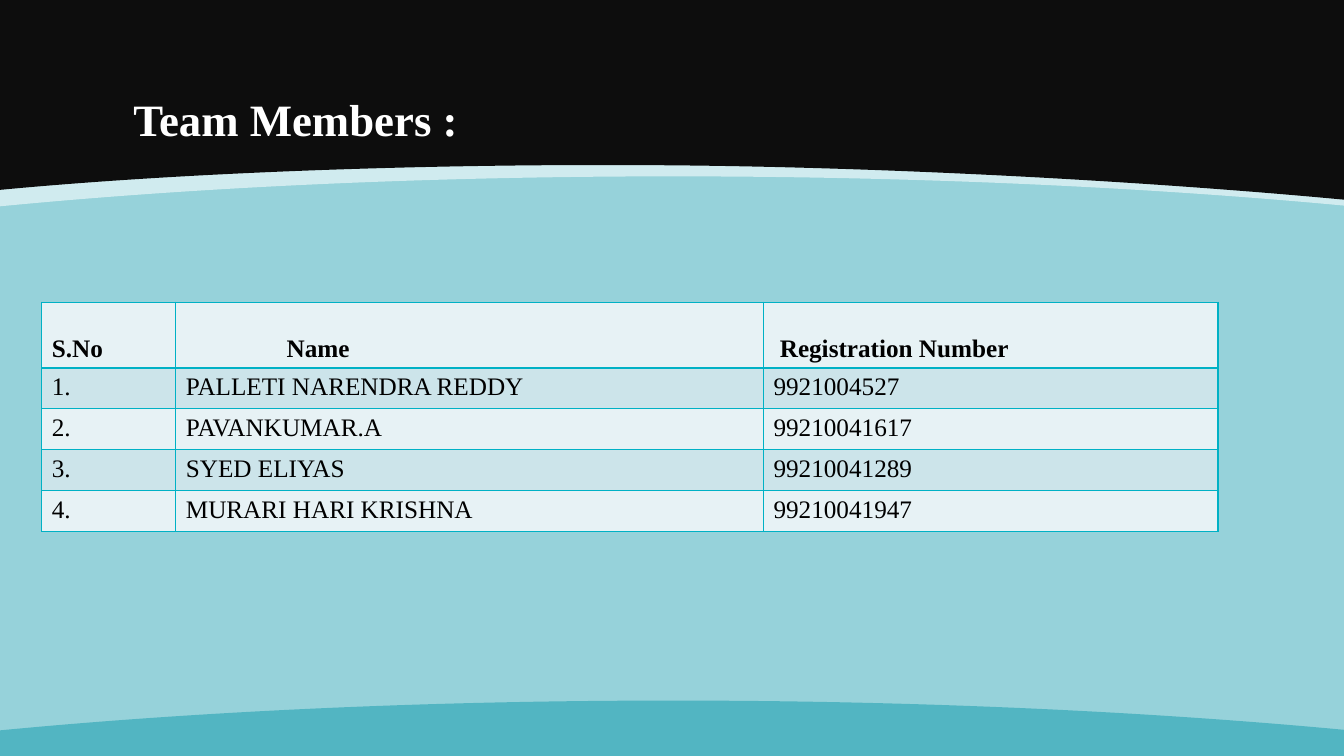
from pptx import Presentation
from pptx.dml.color import RGBColor
from pptx.enum.text import MSO_ANCHOR as Anchor, MSO_AUTO_SIZE as AutoSize, PP_ALIGN as Align
from pptx.oxml import parse_xml
from pptx.oxml.ns import nsdecls
from pptx.util import Pt

WIDTH, HEIGHT = 960, 540
COLORS = {
    "background": "96D2DA", "banner": "0D0D0D", "glow": "EAF6F8", "footer": "52B5C2",
    "title": "FFFFFF", "text": "000000", "border": "00B1C5",
    "light row": "E7F2F5", "dark row": "CCE4EA",
}


class SlideBuilder:
    font_name = "Times New Roman"

    def __init__(self, slide):
        self.slide = slide

    def paint(self, fill, color):
        fill.solid()
        fill.fore_color.rgb = RGBColor.from_string(COLORS[color])

    def style(self, paragraph, size, color, bold=False):
        font = paragraph.font
        font.name, font.size, font.bold = self.font_name, Pt(size), bold
        font.color.rgb = RGBColor.from_string(COLORS[color])
        paragraph.alignment = Align.LEFT

    def background(self, color):
        self.paint(self.slide.background.fill, color)

    def band(self, edge, base, color, opacity=100):
        outline = [(Pt(x), Pt(y)) for x, y in [*edge, (WIDTH, base), (0, base)]]
        builder = self.slide.shapes.build_freeform(*outline[0])
        builder.add_line_segments(outline[1:], close=True)
        band = builder.convert_to_shape()
        segments = band._element.xpath(".//a:lnTo")[:len(edge) - 1]
        for start in range(0, len(segments), 3):
            curve = parse_xml(f'<a:cubicBezTo {nsdecls("a")}/>')
            segments[start].addprevious(curve)
            for segment in segments[start:start + 3]:
                curve.append(segment[0])
                segment.getparent().remove(segment)
        band.shadow.inherit = False
        band.line.fill.background()
        self.paint(band.fill, color)
        if opacity < 100:
            rgb = band._element.spPr.xpath("./a:solidFill/a:srgbClr")[0]
            rgb.append(parse_xml(f'<a:alpha {nsdecls("a")} val="{opacity * 1000}"/>'))

    def title(self, text, left, top, width, height, inset):
        title = self.slide.shapes.title
        title.left, title.top, title.width, title.height = map(Pt, (left, top, width, height))
        frame = title.text_frame
        frame.text = text
        frame.margin_left = Pt(inset)
        frame.vertical_anchor = Anchor.BOTTOM
        frame.auto_size = AutoSize.NONE
        frame.word_wrap = True
        heading = frame.paragraphs[0]
        heading.line_spacing = 0.9
        self.style(heading, 32, "title", bold=True)
        self.slide.shapes._spTree.append(title._element)

    def borders(self, cell):
        properties = cell._tc.get_or_add_tcPr()
        for position, side in enumerate(("lnL", "lnR", "lnT", "lnB")):
            properties.insert(position, parse_xml(
                f'<a:{side} {nsdecls("a")} w="{Pt(1)}"><a:solidFill>'
                f'<a:srgbClr val="{COLORS["border"]}"/></a:solidFill></a:{side}>'
            ))

    def table(self, rows, left, top, widths, heights, header_insets):
        table = self.slide.shapes.add_table(
            len(rows), len(widths), Pt(left), Pt(top), Pt(sum(widths)), Pt(sum(heights))
        ).table
        table.first_row = table.horz_banding = False
        for column, width in zip(table.columns, widths):
            column.width = Pt(width)
        for row_number, (texts, height) in enumerate(zip(rows, heights)):
            table.rows[row_number].height = Pt(height)
            header = row_number == 0
            for column_number, text in enumerate(texts):
                cell = table.cell(row_number, column_number)
                cell.text = text
                self.style(cell.text_frame.paragraphs[0], 18, "text", bold=header)
                if header:
                    cell.vertical_anchor = Anchor.BOTTOM
                    cell.margin_left = Pt(header_insets[column_number])
                self.paint(cell.fill, "dark row" if row_number % 2 else "light row")
                self.borders(cell)


def main():
    presentation = Presentation()
    presentation.slide_width, presentation.slide_height = Pt(WIDTH), Pt(HEIGHT)
    builder = SlideBuilder(presentation.slides.add_slide(presentation.slide_layouts[5]))
    builder.background("background")

    glow_edge = [(0, 147.4), (139.7, 133.9), (304.6, 126), (481, 126),
                 (656.6, 126), (820.8, 133.9), (WIDTH, 146.9)]
    banner_edge = [(0, 135.6), (139.7, 122.4), (320.4, 116.6), (481, 118.1),
                   (640.1, 119.5), (820.8, 129.6), (WIDTH, 142.6)]
    footer_edge = [(0, 521.7), (139.7, 508.3), (304.6, 500.4), (481, 500.4),
                   (656.6, 500.4), (820.8, 508.3), (WIDTH, 521.3)]
    builder.band(glow_edge, 0, "glow", opacity=70)
    builder.band(banner_edge, 0, "banner")
    builder.band(footer_edge, HEIGHT, "footer")

    builder.title("Team Members :", 0, 21.6, 839.5, 86.4, inset=95.2)

    members = [
        ("S.No", "Name", "Registration Number"),
        ("1.", "PALLETI NARENDRA REDDY", "9921004527"),
        ("2.", "PAVANKUMAR.A", "99210041617"),
        ("3.", "SYED ELIYAS", "99210041289"),
        ("4.", "MURARI HARI KRISHNA", "99210041947"),
    ]
    builder.table(members, 29.8, 215.8, widths=(95.8, 419.8, 324.7),
                  heights=(47, *[29.2] * 4), header_insets=(7.2, 79.2, 11.7))
    presentation.save("out.pptx")


if __name__ == "__main__":
    main()
